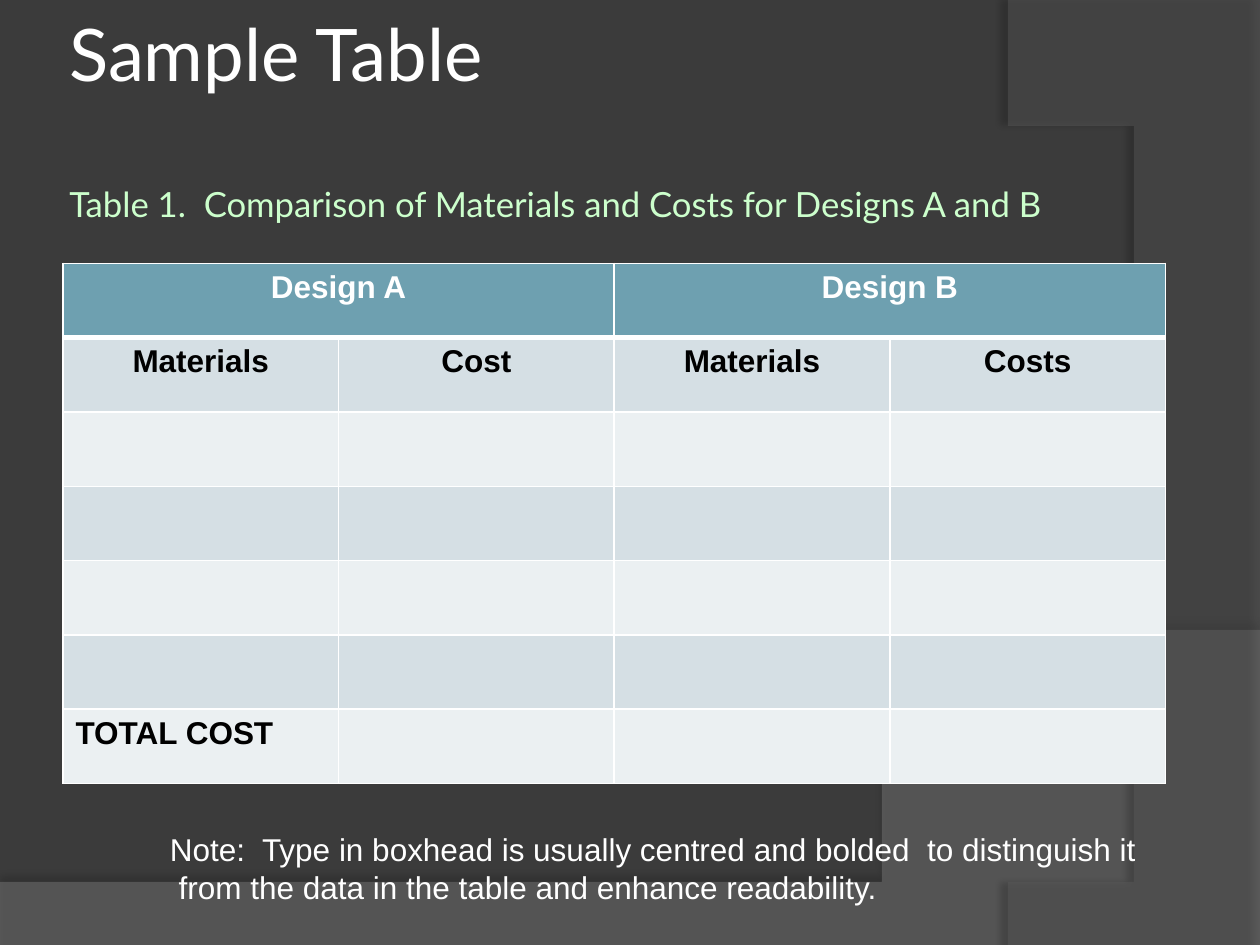
from lxml.etree import SubElement
from pptx import Presentation
from pptx.dml.color import RGBColor
from pptx.enum.text import MSO_ANCHOR, PP_ALIGN
from pptx.oxml.ns import qn
from pptx.util import Inches, Pt

# Content
TITLE = "Sample Table"
CAPTION = "Table 1.  Comparison of Materials and Costs for Designs A and B"
HEADS = ["Design A", "Design B"]
SUBS = ["Materials", "Cost", "Materials", "Costs"]
TOTAL = "TOTAL COST"
NOTE = [
    "Note:  Type in boxhead is usually centred and bolded  to distinguish it",
    " from the data in the table and enhance readability.",
]
ROWS, COLS = 7, 4
COLOR = {
    "back": "3B3B3B", "wave": "7F7F7F", "arc": "5E5E5E", "shade": "000000",
    "white": "FFFFFF", "green": "CCFFCC", "ink": "000000",
    "head": "6EA0B0", "dark": "D5DFE4", "light": "EBF0F2",
}


def rgb(name):
    return RGBColor.from_string(COLOR[name])


def curve(a, b, c, d, steps=48):
    """Points along a cubic curve, without its start."""
    for i in range(1, steps + 1):
        t = i / steps
        u = 1 - t
        yield tuple(u**3 * p + 3 * u * u * t * q + 3 * u * t * t * r + t**3 * s
                    for p, q, r, s in zip(a, b, c, d))


def add_band(slide, points, color, alpha, shade, dist, angle):
    """Draw a see-through outline with a soft shadow."""
    build = slide.shapes.build_freeform(*points[0], scale=Inches(1))
    build.add_line_segments(points[1:], close=True)
    band = build.convert_to_shape()
    band.fill.solid()
    band.fill.fore_color.rgb = rgb(color)
    band.line.fill.background()
    props = band._element.spPr
    tint = props.find(qn("a:solidFill"))[0]
    SubElement(tint, qn("a:alpha"), val=str(alpha * 1000))
    effects = SubElement(props, qn("a:effectLst"))
    shadow = SubElement(effects, qn("a:outerShdw"), blurRad=str(Pt(4)),
                        dist=str(Pt(dist)), dir=str(angle * 60000),
                        algn="ctr", rotWithShape="0")
    ink = SubElement(shadow, qn("a:srgbClr"), val=COLOR["shade"])
    SubElement(ink, qn("a:alpha"), val=str(shade * 1000))


def set_font(para, face, size, color, bold=False):
    font = para.font
    font.name, font.size, font.bold = face, Pt(size), bold
    font.color.rgb = rgb(color)


def add_edges(cell, base):
    props = cell._tc.get_or_add_tcPr()
    widths = {"a:lnL": 1, "a:lnR": 1, "a:lnT": 1, "a:lnB": base}
    for i, (tag, width) in enumerate(widths.items()):
        line = props.makeelement(qn(tag), {"w": str(Pt(width))})
        fill = SubElement(line, qn("a:solidFill"))
        SubElement(fill, qn("a:srgbClr"), val=COLOR["white"])
        props.insert(i, line)


def add_title(slide):
    box = slide.shapes.add_textbox(Inches(0.5), Inches(0.3),
                                   Inches(8.17), Inches(1.25))
    frame = box.text_frame
    frame.word_wrap = True
    frame.vertical_anchor = MSO_ANCHOR.MIDDLE
    frame.margin_left = frame.margin_right = Inches(0.05)
    frame.margin_top = frame.margin_bottom = Inches(0.05)
    head = frame.paragraphs[0]
    head.text = TITLE
    set_font(head, "Lato", 41.4, "white")
    sub = frame.add_paragraph()
    sub.text = CAPTION
    sub.space_before = Pt(50)
    set_font(sub, "Lato", 19.8, "green")


def add_grid(slide):
    table = slide.shapes.add_table(ROWS, COLS, Inches(0.5), Inches(2.09),
                                   Inches(8.75), Inches(4.13)).table
    # Text by row and column
    text = {(0, 2 * i): head for i, head in enumerate(HEADS)}
    text.update({(1, i): sub for i, sub in enumerate(SUBS)})
    text[ROWS - 1, 0] = TOTAL
    for row in range(ROWS):
        fill = "head" if row == 0 else "dark" if row % 2 else "light"
        for col in range(COLS):
            cell = table.cell(row, col)
            cell.fill.solid()
            cell.fill.fore_color.rgb = rgb(fill)
            add_edges(cell, 1 if row else 3)
            para = cell.text_frame.paragraphs[0]
            para.text = text.get((row, col), "")
            set_font(para, "Arial", 18, "ink" if row else "white", True)
            if row < 2:
                para.alignment = PP_ALIGN.CENTER
    for col in range(0, COLS, 2):
        table.cell(0, col).merge(table.cell(0, col + 1))


def add_note(slide):
    frame = slide.shapes.add_textbox(Inches(1.25), Inches(6.54),
                                     Inches(7.94), Inches(0.71)).text_frame
    frame.word_wrap = False
    frame.text = "\n".join(NOTE)
    for para in frame.paragraphs:
        set_font(para, "Arial", 18, "white")


def main():
    deck = Presentation()
    deck.slide_width, deck.slide_height = Inches(10), Inches(7.5)
    slide = deck.slides.add_slide(deck.slide_layouts[6])
    slide.background.fill.solid()
    slide.background.fill.fore_color.rgb = rgb("back")

    # Backdrop bands
    wave = [(0, 7.05), (0, 7.51), (10, 7.51), (10, 5.2),
            *curve((10, 5.2), (5.59, 7.29), (3.91, 7.19), (0, 7.05))]
    arc = [(10, 0.02), (10, 7.5), (8.21, 7.5),
           *curve((8.21, 7.5), (9.35, 6.19), (10.18, 3), (8, 0))]
    add_band(slide, wave, "wave", 45, 35, 3.5, 270)
    add_band(slide, arc, "arc", 40, 45, 4, 180)

    add_title(slide)
    add_grid(slide)
    add_note(slide)
    deck.save("out.pptx")


if __name__ == "__main__":
    main()
